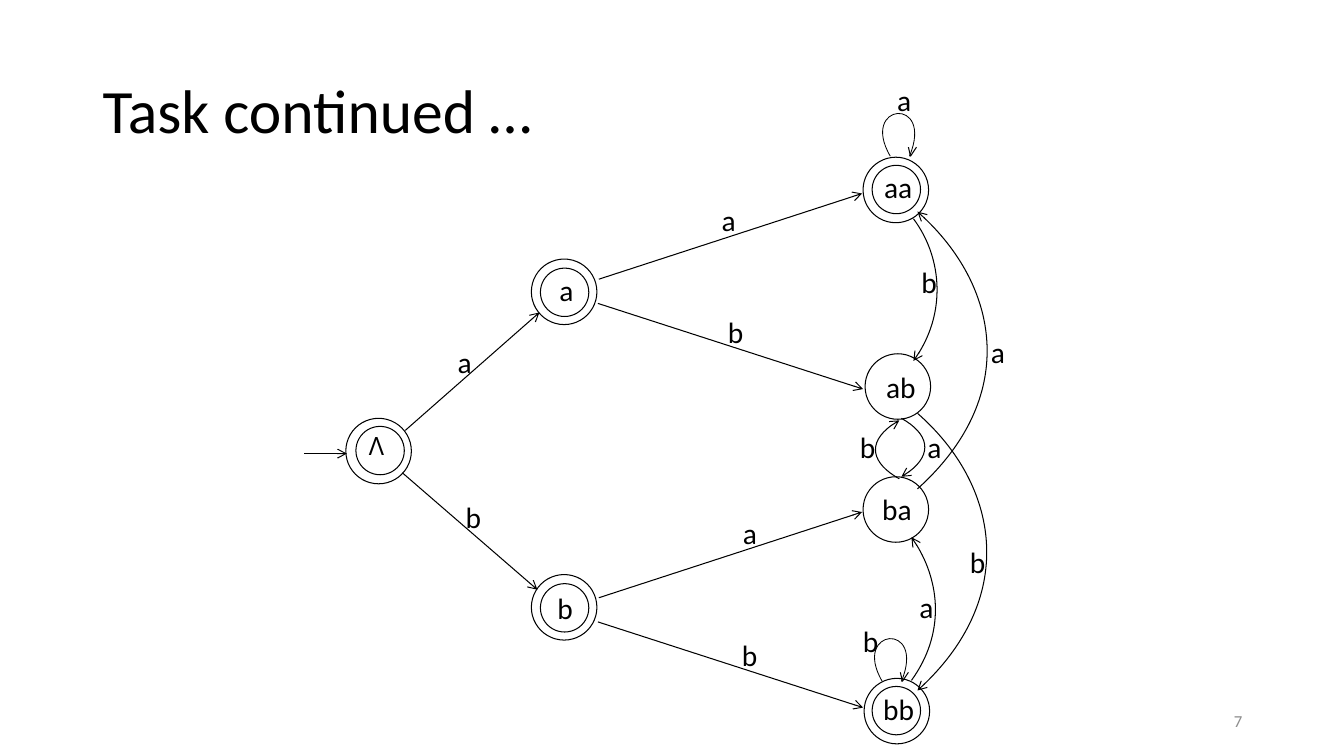
"""Draw a finite automaton that tracks the last two letters read."""
from lxml import etree
from pptx import Presentation, util as u
from pptx.dml.color import RGBColor
from pptx.enum import shapes, text
from pptx.oxml.ns import qn

INK = {"black": "000000", "white": "FFFFFF", "grey": "8C8C8C"}


class Board:
    """Hold the style and the slide being drawn."""

    def __init__(self, slide):
        self.shapes = slide.shapes
        self.font = "Calibri"
        self.size = 21
        self.width = 0.75

    def tint(self, name):
        return RGBColor.from_string(INK[name])

    def pen(self, shape, arrow=False, width=None):
        shape.line.color.rgb = self.tint("black")
        shape.line.width = u.Pt(width or self.width)
        if arrow:
            etree.SubElement(shape.line._get_or_add_ln(), qn("a:tailEnd"), type="arrow")

    def label(self, words, x, y, w=0.98, h=0.68, size=None, font=None, color="black",
              wrap=True, middle=False, right=False, space=None):
        box = self.shapes.add_textbox(*map(u.Inches, (x, y, w, h)))
        frame = box.text_frame
        frame.word_wrap = wrap
        if middle:
            frame.vertical_anchor = text.MSO_ANCHOR.MIDDLE
        para = frame.paragraphs[0]
        para.text = words
        para.line_spacing = space
        if right:
            para.alignment = text.PP_ALIGN.RIGHT
        para.font.size = u.Pt(size or self.size)
        para.font.name = font or self.font
        para.font.color.rgb = self.tint(color)

    def ring(self, x, y, size):
        disc = self.shapes.add_shape(shapes.MSO_SHAPE.OVAL, *map(u.Inches, (x, y, size, size)))
        disc.shadow.inherit = False
        disc.fill.solid()
        disc.fill.fore_color.rgb = self.tint("white")
        self.pen(disc)

    def line(self, start, end, arrow=True):
        link = self.shapes.add_connector(
            shapes.MSO_CONNECTOR.STRAIGHT, *map(u.Inches, start + end))
        self.pen(link, arrow)
        etree.SubElement(link._element.spPr, qn("a:effectLst"))

    def curve(self, *points, arrow=True, width=None):
        first, *rest = [tuple(map(u.Inches, p)) for p in points]
        form = self.shapes.build_freeform(*first)
        form.add_line_segments(rest, close=False)
        arc = form.convert_to_shape()
        arc.shadow.inherit = False
        arc.fill.background()
        self.pen(arc, arrow, width)
        steps = list(arc._element.iter(qn("a:lnTo")))
        route = steps[0].getparent()
        cubic = etree.SubElement(route, qn("a:cubicBezTo"))
        for step in steps:
            cubic.append(step[0])
            route.remove(step)

    def loop(self, x, y):
        self.curve((x, y), (x - 0.31, y - 0.53), (x + 0.44, y - 0.6), (x + 0.19, y),
                   arrow=False, width=0.6)
        for dx in (0.26, 0.18):
            self.line((x + dx, y - 0.09), (x + 0.2, y), arrow=False)


deck = Presentation()
deck.slide_width, deck.slide_height = u.Inches(13.33), u.Inches(7.5)
board = Board(deck.slides.add_slide(deck.slide_layouts[6]))

board.label("7", 9.42, 6.95, 3, 0.4, size=12, color="grey", middle=True, right=True)
board.label("Task continued …", 0.92, 0.4, 11.5, 1.45, size=44, middle=True, space=0.9)

STATES = [
    ("", 3.43, 4.15, (0.1, 0.08), None),
    ("a", 5.27, 2.57, (0.09, 0.09), (5.45, 2.65)),
    ("b", 5.27, 5.7, (0.09, 0.09), (5.43, 5.8)),
    ("aa", 8.56, 1.56, (0.09, 0.08), (8.67, 1.63)),
    ("ab", 8.58, 3.51, None, (8.69, 3.61)),
    ("ba", 8.56, 4.73, None, (8.65, 4.82)),
    ("bb", 8.57, 6.73, (0.08, 0.08), (8.66, 6.81)),
]
for name, x, y, inner, spot in STATES:
    board.ring(x, y, 0.65)
    if inner:
        board.ring(x + inner[0], y + inner[1], 0.48)
    if spot:
        board.label(name, *spot)
board.label("Λ", 3.56, 4.22, 0.35, 0.4, size=18, font="Open Sans", wrap=False)

board.line((3.02, 4.5), (3.44, 4.5))
board.line((4.02, 4.27), (5.35, 3.1))
board.line((3.99, 4.69), (5.33, 5.85))
for top in (1.92, 5.08):
    board.line((5.94, top + 0.85), (8.55, top))
    board.line((5.93, top + 1.09), (8.56, top + 1.94))

board.curve((9.06, 2.17), (9.33, 2.53), (9.4, 3.12), (9.06, 3.58))
board.curve((9.04, 6.75), (9.38, 6.28), (9.31, 5.7), (9.04, 5.33))
board.curve((9.1, 4.1), (9.91, 4.81), (10.1, 5.95), (9.1, 6.85))
board.curve((9.1, 4.85), (10.1, 3.95), (9.91, 2.81), (9.1, 2.1))
board.curve((8.94, 4.15), (9.21, 4.3), (9.27, 4.54), (8.94, 4.73))
board.curve((8.92, 4.75), (8.65, 4.6), (8.58, 4.36), (8.92, 4.17))
board.loop(8.83, 1.55)
board.loop(8.75, 6.76)

MOVES = {
    "a": [(4.44, 3.36), (7.06, 1.96), (7.27, 5.06), (8.8, 0.77),
          (9.73, 3.27), (9.1, 4.21), (9.02, 5.79)],
    "b": [(4.52, 4.9), (7.12, 3.07), (7.26, 6.27), (8.46, 6.13),
          (9.52, 5.35), (8.43, 4.21), (9.04, 2.57)],
}
for letter, spots in MOVES.items():
    for spot in spots:
        board.label(letter, *spot)

deck.save("out.pptx")
